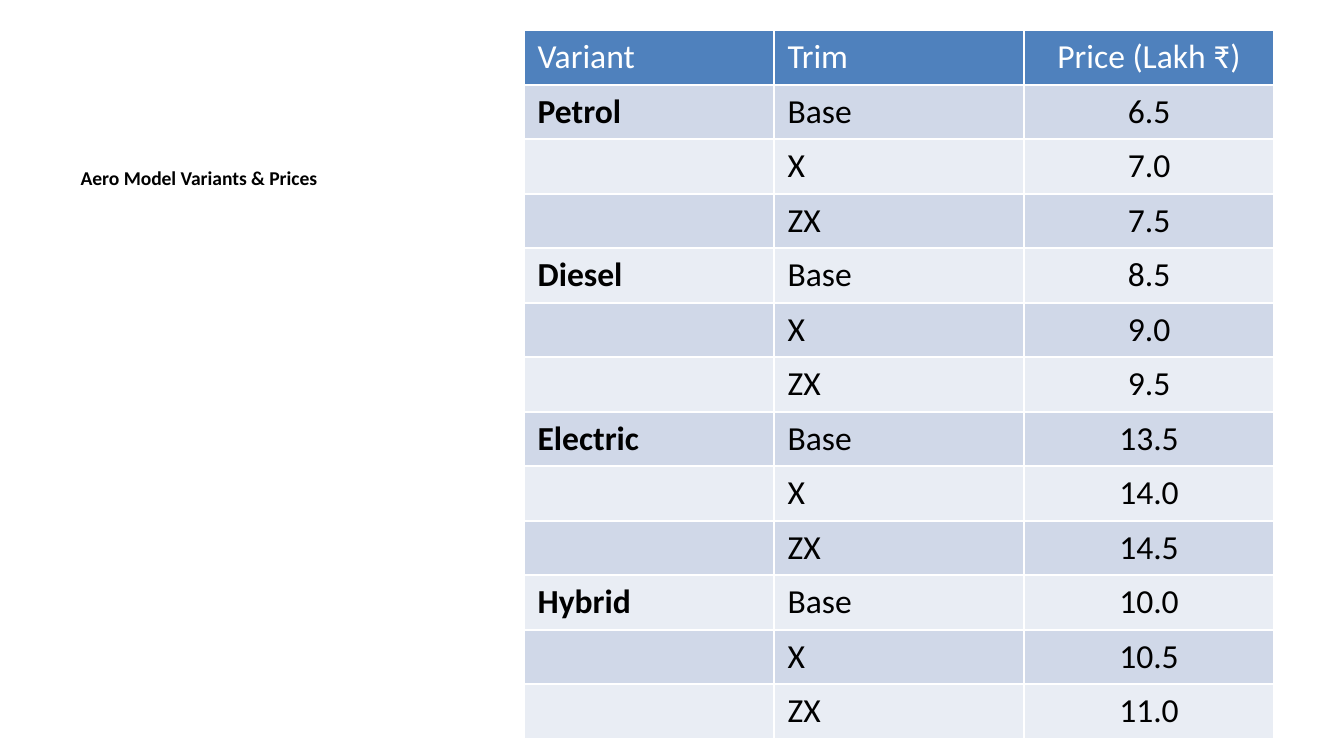
from pptx import Presentation
from pptx.dml.color import RGBColor
from pptx.enum.text import MSO_ANCHOR, PP_ALIGN
from pptx.util import Inches, Pt

WHITE = RGBColor(0xFF, 0xFF, 0xFF)
BLACK = RGBColor(0x00, 0x00, 0x00)
HEADER_BLUE = RGBColor(0x4F, 0x81, 0xBD)
BAND_DARK = RGBColor(0xD0, 0xD8, 0xE8)
BAND_LIGHT = RGBColor(0xE9, 0xED, 0xF4)

SLIDE_WIDTH = 10
SLIDE_HEIGHT = SLIDE_WIDTH * 9 / 16
TITLE_ONLY = 5
TRIMS = ["Base", "X", "ZX"]
PRICES = {
    "Petrol": ["6.5", "7.0", "7.5"],
    "Diesel": ["8.5", "9.0", "9.5"],
    "Electric": ["13.5", "14.0", "14.5"],
    "Hybrid": ["10.0", "10.5", "11.0"],
}


def write(frame, text, size=18, color=BLACK, bold=False, align=PP_ALIGN.LEFT):
    paragraph = frame.paragraphs[0]
    paragraph.alignment = align
    run = paragraph.add_run()
    run.text = text
    run.font.name = "Calibri"
    run.font.size = Pt(size)
    run.font.bold = bold
    run.font.color.rgb = color


class PriceSlide:
    def __init__(self, deck):
        self.width, self.height = deck.slide_width, deck.slide_height
        self.slide = deck.slides.add_slide(deck.slide_layouts[TITLE_ONLY])

    def area(self, left, top, width, height):
        return (int(left * self.width), int(top * self.height),
                int(width * self.width), int(height * self.height))

    def title(self, text, *shares):
        heading = self.slide.shapes.title
        heading.left, heading.top, heading.width, heading.height = self.area(*shares)
        heading.text_frame.word_wrap = True
        heading.text_frame.vertical_anchor = MSO_ANCHOR.TOP
        write(heading.text_frame, text, size=10.5, bold=True)

    def table(self, rows, *shares):
        grid = self.slide.shapes.add_table(len(rows), len(rows[0]), *self.area(*shares)).table
        for r, row in enumerate(rows):
            is_header = r == 0
            band = HEADER_BLUE if is_header else BAND_DARK if r % 2 else BAND_LIGHT
            for c, text in enumerate(row):
                cell = grid.cell(r, c)
                cell.fill.solid()
                cell.fill.fore_color.rgb = band
                if text:
                    write(cell.text_frame, text,
                          color=WHITE if is_header else BLACK,
                          bold=c == 0 and not is_header,
                          align=PP_ALIGN.CENTER if c == 2 else PP_ALIGN.LEFT)


def main():
    deck = Presentation()
    deck.slide_width, deck.slide_height = Inches(SLIDE_WIDTH), Inches(SLIDE_HEIGHT)

    rows = [["Variant", "Trim", "Price (Lakh ₹)"]]
    for variant, prices in PRICES.items():
        for trim, price in zip(TRIMS, prices):
            rows.append([variant if trim == TRIMS[0] else "", trim, price])

    page = PriceSlide(deck)
    page.title("Aero Model Variants & Prices", 0.05, 0.21, 0.33, 0.68)
    page.table(rows, 0.39, 0.04, 5.58 / SLIDE_WIDTH, 4.79 / SLIDE_HEIGHT)
    deck.save("out.pptx")


if __name__ == "__main__":
    main()
